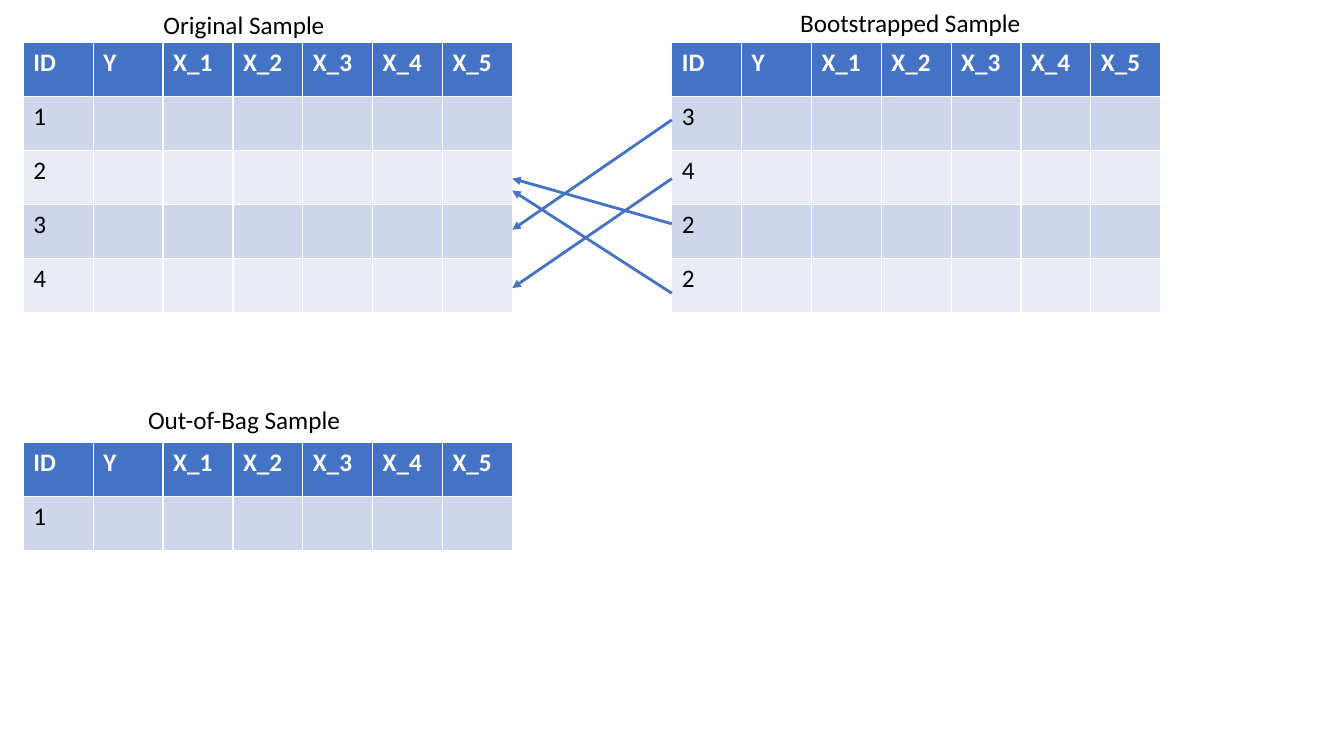
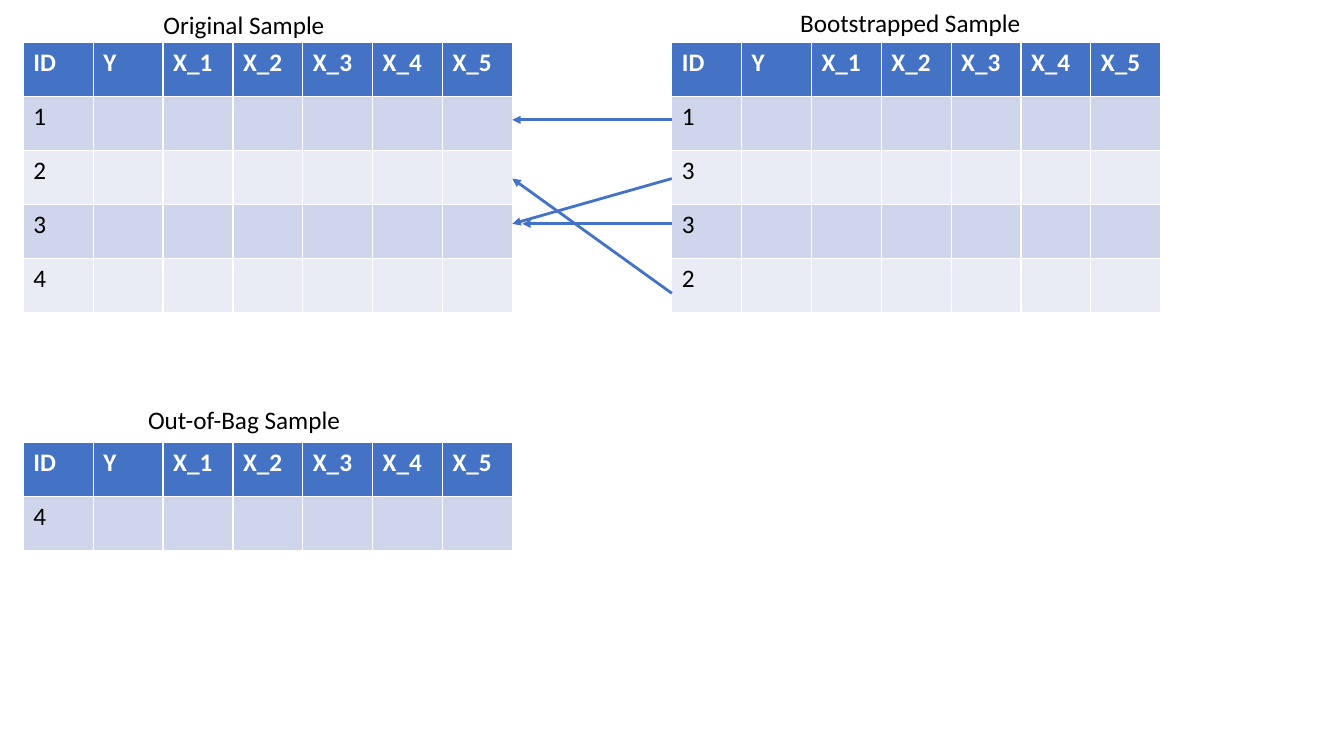
from lxml.etree import SubElement
from pptx import Presentation
from pptx.dml.color import RGBColor
from pptx.enum.shapes import MSO_CONNECTOR
from pptx.enum.text import PP_ALIGN
from pptx.oxml.ns import qn
from pptx.util import Cm, Pt

BLUE, WHITE, BLACK = "4472C4", "FFFFFF", "000000"
ROW_BANDS = ["CFD5EA", "E9EBF5"]
FONT, TEXT_SIZE = "Calibri", Pt(18)

HEADERS = ["ID", "Y", "X_1", "X_2", "X_3", "X_4", "X_5"]
COLUMN_WIDTH, ROW_HEIGHT = 1.76, 1.36
LEFT_TABLE, RIGHT_TABLE = 0.59, 16.93
TOP_TABLE, BOTTOM_TABLE = 1.08, 11.15
LEFT_TABLE_EDGE = LEFT_TABLE + len(HEADERS) * COLUMN_WIDTH
CAPTION_WIDTH, CAPTION_HEIGHT = 9.5, 1.02

# Heights at which the arrows leave the four bootstrapped rows
ARROW_STARTS = [3.02, 4.5, 5.64, 7.39]

# arrow_ends: height at the original sample, gap to the table's edge
DRAWS = [
    {
        "bootstrapped": [3, 4, 2, 2],
        "out_of_bag": [1],
        "arrow_ends": [(5.79, 0), (7.26, 0), (4.5, 0), (4.8, 0)],
    },
    {
        "bootstrapped": [1, 3, 3, 2],
        "out_of_bag": [4],
        "arrow_ends": [(3.02, 0), (5.64, 0), (5.64, 0.25), (4.5, 0)],
    },
]


def rgb(hex_string):
    return RGBColor.from_string(hex_string)


def style_text(paragraph, color, bold=False):
    for run in paragraph.runs:
        run.font.name = FONT
        run.font.size = TEXT_SIZE
        run.font.bold = bold
        run.font.color.rgb = rgb(color)


prs = Presentation()
prs.slide_width, prs.slide_height = Cm(33.87), Cm(19.05)
blank_layout = prs.slide_layouts.get_by_name("Blank")

for draw in DRAWS:
    slide = prs.slides.add_slide(blank_layout)

    samples = [
        # caption, caption left and top, table left and top, IDs
        ("Original Sample", 1.4, 0.1, LEFT_TABLE, TOP_TABLE, [1, 2, 3, 4]),
        ("Bootstrapped Sample", 18.19, 0.05, RIGHT_TABLE, TOP_TABLE,
         draw["bootstrapped"]),
        ("Out-of-Bag Sample", 1.4, 10.06, LEFT_TABLE, BOTTOM_TABLE,
         draw["out_of_bag"]),
    ]
    for caption, caption_left, caption_top, left, top, ids in samples:
        row_count = len(ids) + 1
        sample = slide.shapes.add_table(
            row_count, len(HEADERS), Cm(left), Cm(top),
            Cm(COLUMN_WIDTH * len(HEADERS)), Cm(ROW_HEIGHT * row_count),
        ).table
        for column, header in zip(sample.columns, HEADERS):
            column.width = Cm(COLUMN_WIDTH)
        for column_index, header in enumerate(HEADERS):
            sample.cell(0, column_index).text = header
        for row_index, sample_id in enumerate(ids, start=1):
            sample.cell(row_index, 0).text = str(sample_id)

        for row_index, row in enumerate(sample.rows):
            row.height = Cm(ROW_HEIGHT)
            is_header = row_index == 0
            fill_color = BLUE if is_header else ROW_BANDS[(row_index - 1) % 2]
            for cell in row.cells:
                cell.fill.solid()
                cell.fill.fore_color.rgb = rgb(fill_color)
                style_text(cell.text_frame.paragraphs[0],
                           WHITE if is_header else BLACK, bold=is_header)

        caption_box = slide.shapes.add_textbox(
            Cm(caption_left), Cm(caption_top),
            Cm(CAPTION_WIDTH), Cm(CAPTION_HEIGHT))
        caption_box.text_frame.word_wrap = True
        caption_box.text_frame.text = caption
        caption_line = caption_box.text_frame.paragraphs[0]
        caption_line.alignment = PP_ALIGN.CENTER
        style_text(caption_line, BLACK)

    for start, (end, gap) in zip(ARROW_STARTS, draw["arrow_ends"]):
        arrow = slide.shapes.add_connector(
            MSO_CONNECTOR.STRAIGHT, Cm(RIGHT_TABLE), Cm(start),
            Cm(LEFT_TABLE_EDGE + gap), Cm(end))
        arrow.line.color.rgb = rgb(BLUE)
        arrow.line.width = Pt(2)
        SubElement(arrow.line._get_or_add_ln(), qn("a:tailEnd"), type="triangle")
        SubElement(arrow._element.spPr, qn("a:effectLst"))

prs.save("out.pptx")
